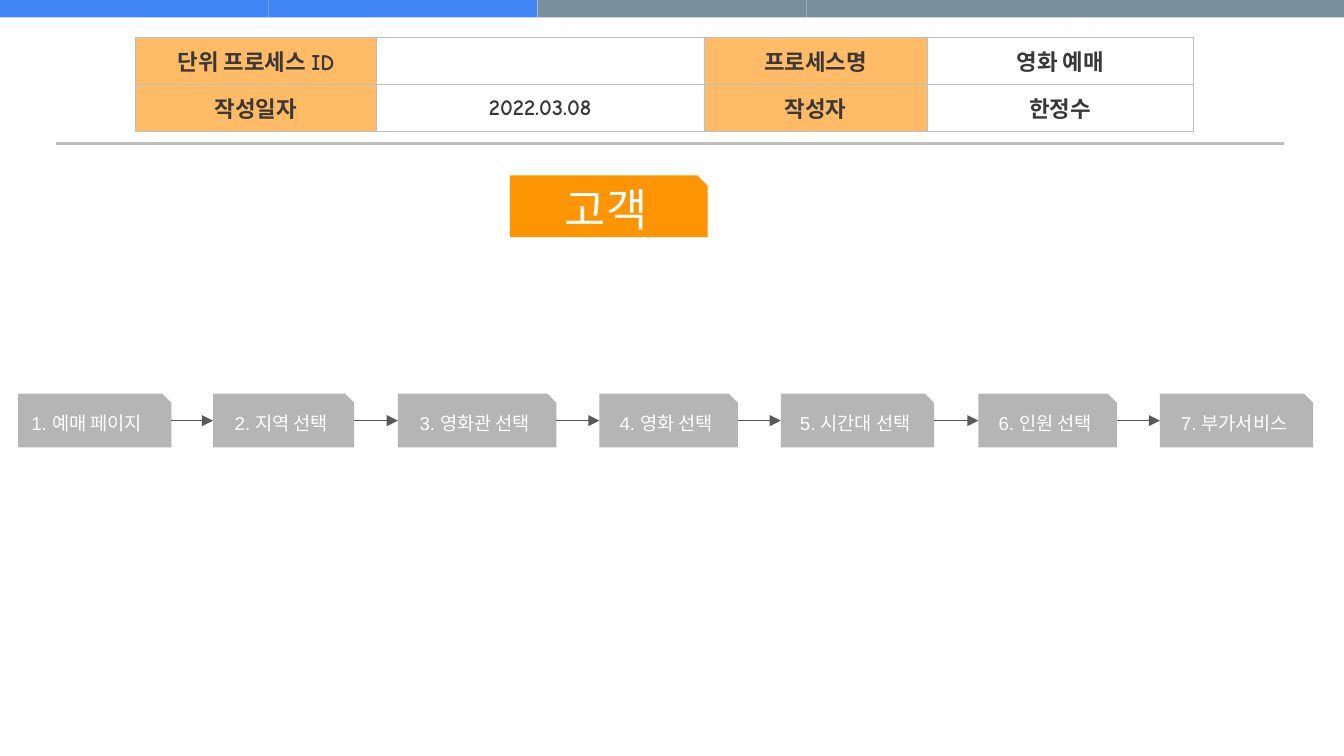
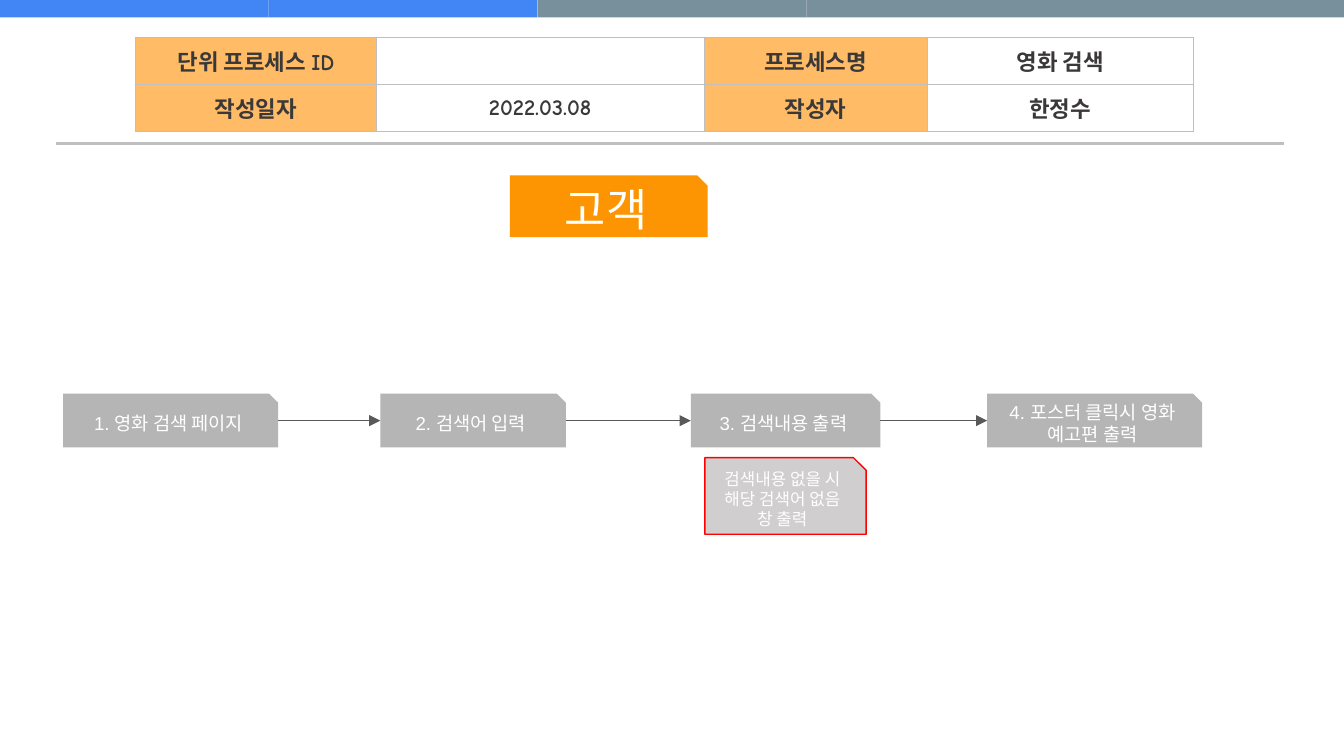
"""Builds the process-definition slides for movie booking and movie search."""
import dataclasses
import itertools

import lxml.etree
import pptx
import pptx.dml.color
import pptx.enum.shapes
import pptx.enum.text
import pptx.oxml.ns
import pptx.util

SLIDE_WIDTH = pptx.util.Inches(10)
SLIDE_HEIGHT = SLIDE_WIDTH * 9 // 16
COLUMNS, ROWS = 100, 56.25
COLORS = {
    "blue": "4285F4",
    "slate": "78909C",
    "rule": "BFBFBF",
    "label": "FFAB40",
    "white": "FFFFFF",
    "ink": "3A3838",
    "actor": "FD9401",
    "step": "B5B5B5",
    "arrow": "595959",
    "exception": "D0CECE",
    "alert": "FF0000",
}
BODY_FONT, TABLE_FONT = "Arial", "Comic Neue"
CENTER = pptx.enum.text.PP_ALIGN.CENTER
LEFT = pptx.enum.text.PP_ALIGN.LEFT
SNIPPED = pptx.enum.shapes.MSO_SHAPE.SNIP_1_RECTANGLE
LEFT_SITE, RIGHT_SITE = 1, 3


@dataclasses.dataclass
class Box:
    """A region in grid columns and rows."""
    left: float
    top: float
    width: float
    height: float

    def inner(self, left, width):
        """Return a full-height part of this box."""
        return Box(self.left + left, self.top, width, self.height)

    def emu(self):
        """Return left, top, width and height in EMU."""
        return (across(self.left), down(self.top),
                across(self.width), down(self.height))


@dataclasses.dataclass
class Step:
    """One step of a process flow, placed within the flow box."""
    text: str
    left: float
    width: float
    align: object = CENTER


BAND = Box(0, 0, COLUMNS, 1.3)
HEADER = Box(10.1, 2.8, 78.7, 7)
RULE = Box(4.2, 10.7, 91.3, 0)
ACTOR = Box(37.95, 13.05, 14.7, 4.6)
FLOW = Box(0, 29.3, COLUMNS, 4)
EXCEPTION = Box(52.45, 34.05, 12, 5.7)

BOOKING_STEPS = [
    Step("1. 예매 페이지", 1.35, 11.4, LEFT),
    Step("2. 지역 선택", 15.85, 10.5),
    Step("3. 영화관 선택", 29.6, 11.8),
    Step("4. 영화 선택", 44.6, 10.3),
    Step("5. 시간대 선택", 58.1, 11.4),
    Step("6. 인원 선택", 72.8, 10.3),
    Step("7. 부가서비스", 86.3, 11.4),
]
SEARCH_STEPS = [
    Step("1. 영화 검색 페이지", 4.7, 16),
    Step("2. 검색어 입력", 28.3, 13.8),
    Step("3. 검색내용 출력", 51.4, 14.1),
    Step("4. 포스터 클릭시 영화 예고편 출력", 73.45, 16),
]


def across(columns):
    """Convert grid columns to EMU."""
    return round(SLIDE_WIDTH * columns / COLUMNS)


def down(rows):
    """Convert grid rows to EMU."""
    return round(SLIDE_HEIGHT * rows / ROWS)


def rgb(name):
    """Look up a palette colour."""
    return pptx.dml.color.RGBColor.from_string(COLORS[name])


def add_xml(parent, tag, **attributes):
    """Append a DrawingML element and return it."""
    return lxml.etree.SubElement(parent, pptx.oxml.ns.qn(tag), attributes)


def write(frame, text, size, font, color, align=CENTER, bold=False):
    """Fill a text frame with one styled paragraph."""
    frame.word_wrap = True
    paragraph = frame.paragraphs[0]
    paragraph.alignment = align
    paragraph.font.size = pptx.util.Pt(size)
    paragraph.font.bold = bold
    paragraph.font.color.rgb = rgb(color)
    paragraph.font.name = font
    if text:
        paragraph.text = text
    else:
        add_xml(paragraph._p, "a:endParaRPr", sz=str(size * 100))


def add_panel(slide, box, fill, preset=SNIPPED, outline=None):
    """Add a flat filled shape with an optional outline."""
    panel = slide.shapes.add_shape(preset, *box.emu())
    panel.shadow.inherit = False
    panel.fill.solid()
    panel.fill.fore_color.rgb = rgb(fill)
    if outline:
        panel.line.color.rgb = rgb(outline)
        panel.line.width = pptx.util.Pt(0.75)
    else:
        panel.line.fill.background()
    return panel


def add_label(slide, box, text, size, fill, align=CENTER, outline=None):
    """Add a snipped box with white text."""
    label = add_panel(slide, box, fill, outline=outline)
    label.text_frame.vertical_anchor = pptx.enum.text.MSO_ANCHOR.MIDDLE
    write(label.text_frame, text, size, BODY_FONT, "white", align)
    return label


def add_line(slide, box, color, width):
    """Add a straight line across a box without a shadow."""
    left, top, length, drop = box.emu()
    line = slide.shapes.add_connector(
        pptx.enum.shapes.MSO_CONNECTOR.STRAIGHT,
        left, top, left + length, top + drop)
    line.line.color.rgb = rgb(color)
    line.line.width = pptx.util.Pt(width)
    add_xml(line._element.spPr, "a:effectLst")
    return line


def add_band(slide, box):
    """Draw the row of equal colour segments at the top."""
    segments = ["blue"] * 2 + ["slate"] * 3
    width = box.width / len(segments)
    for index, color in enumerate(segments):
        add_panel(slide, box.inner(index * width, width), color,
                  pptx.enum.shapes.MSO_SHAPE.RECTANGLE)


def style_cell(cell, text, is_label):
    """Write a header cell and set its fill, margins and borders."""
    cell.margin_left = cell.margin_right = pptx.util.Inches(0.08)
    cell.margin_top = cell.margin_bottom = pptx.util.Inches(0.04)
    cell.vertical_anchor = pptx.enum.text.MSO_ANCHOR.MIDDLE
    write(cell.text_frame, text, 12, TABLE_FONT, "ink", bold=True)
    properties = cell._tc.get_or_add_tcPr()
    for side in ("a:lnL", "a:lnR", "a:lnT", "a:lnB"):
        border = add_xml(properties, side, w=str(pptx.util.Pt(0.75)))
        add_xml(add_xml(border, "a:solidFill"), "a:srgbClr", val=COLORS["rule"])
    cell.fill.solid()
    cell.fill.fore_color.rgb = rgb("label" if is_label else "white")
    if is_label:
        tint = properties.find(pptx.oxml.ns.qn("a:solidFill"))[0]
        add_xml(tint, "a:alpha", val="80000")


def add_header(slide, box, process):
    """Draw the table that identifies the process."""
    content = [["단위 프로세스 ID", "", "프로세스명", process],
               ["작성일자", "2022.03.08", "작성자", "한정수"]]
    widths = [17.9, 24.4, 16.6, 19.8]
    header = slide.shapes.add_table(len(content), len(widths), *box.emu()).table
    header.first_row = header.horz_banding = False
    for column, width in zip(header.columns, widths):
        column.width = across(width)
    for row, texts in enumerate(content):
        header.rows[row].height = down(box.height / len(content))
        for column, text in enumerate(texts):
            style_cell(header.cell(row, column), text, column % 2 == 0)


def add_flow(slide, box, steps):
    """Draw the steps and an arrow between each pair of neighbours."""
    labels = [add_label(slide, box.inner(step.left, step.width), step.text,
                        10, "step", step.align) for step in steps]
    for source, target in itertools.pairwise(labels):
        arrow = add_line(slide, box, "arrow", 0.75)
        arrow.begin_connect(source, RIGHT_SITE)
        arrow.end_connect(target, LEFT_SITE)
        add_xml(arrow.line._get_or_add_ln(), "a:tailEnd", type="triangle")


def add_process_slide(deck, process, steps):
    """Add a slide with the shared frame and one process flow."""
    slide = deck.slides.add_slide(deck.slide_layouts[6])
    add_band(slide, BAND)
    add_line(slide, RULE, "rule", 1.5)
    add_header(slide, HEADER, process)
    add_label(slide, ACTOR, "고객", 24, "actor")
    add_flow(slide, FLOW, steps)
    return slide


def main():
    """Build and save the deck."""
    deck = pptx.Presentation()
    deck.slide_width, deck.slide_height = SLIDE_WIDTH, SLIDE_HEIGHT
    add_process_slide(deck, "영화 예매", BOOKING_STEPS)
    search = add_process_slide(deck, "영화 검색", SEARCH_STEPS)
    add_label(search, EXCEPTION, "검색내용 없을 시 해당 검색어 없음 창 출력",
              9, "exception", outline="alert")
    deck.save("out.pptx")


if __name__ == "__main__":
    main()
